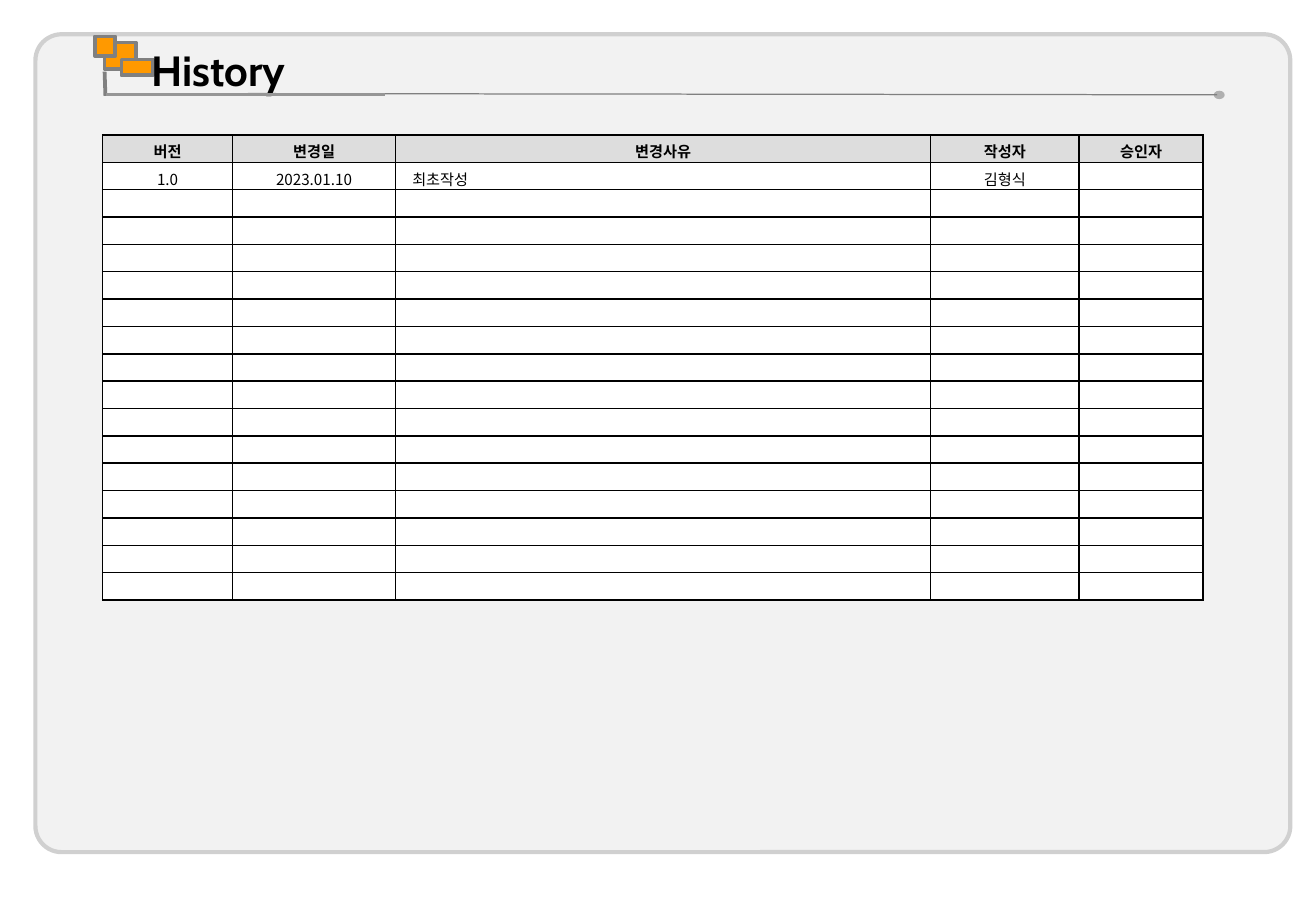
import pptx
import pptx.util
import pptx.dml.color
import pptx.enum.shapes
import pptx.enum.text
import pptx.oxml.ns
import lxml.etree

Pt = pptx.util.Pt
qn = pptx.oxml.ns.qn
SHAPE = pptx.enum.shapes.MSO_SHAPE
ALIGN = pptx.enum.text.PP_ALIGN
FONT = "Noto Sans CJK KR"
COLORS = {
    "panel": "F2F2F2", "edge": "D0D0D0", "dot": "B0B0B0",
    "orange": "FF9900", "gray": "808080", "rule": "969696",
    "head": "DDDDDD", "white": "FFFFFF", "black": "000000",
}
HEADS = ["버전", "변경일", "변경사유", "작성자", "승인자"]
ENTRY = ["1.0", "2023.01.10", "최초작성", "김형식", ""]
WIDTHS = [77, 96.6, 317.2, 88.1, 73.5]
ROWS = 17
HEIGHT = 16.22


def color(name):
    return pptx.dml.color.RGBColor.from_string(COLORS[name])


def add_box(slide, kind, box, fill, line=None, width=2.25):
    shape = slide.shapes.add_shape(kind, *map(Pt, box))
    shape.shadow.inherit = False
    shape.fill.solid()
    shape.fill.fore_color.rgb = color(fill)
    if line:
        shape.line.color.rgb = color(line)
        shape.line.width = Pt(width)
    else:
        shape.line.fill.background()
    return shape


def add_line(slide, ends, tone, width):
    kind = pptx.enum.shapes.MSO_CONNECTOR.STRAIGHT
    line = slide.shapes.add_connector(kind, *map(Pt, ends))
    line.line.color.rgb = color(tone)
    line.line.width = Pt(width)
    lxml.etree.SubElement(line._element.spPr, qn("a:effectLst"))


def set_font(para, name, size, bold):
    para.font.name = name
    para.font.size = Pt(size)
    para.font.bold = bold
    para.font.color.rgb = color("black")
    lxml.etree.SubElement(para.font._element, qn("a:ea"), typeface=name)


def add_title(slide, text, box):
    frame = slide.shapes.add_textbox(*map(Pt, box)).text_frame
    frame.word_wrap = True
    para = frame.paragraphs[0]
    para.text = text
    set_font(para, "Cabin", 25, True)


def add_border(cell):
    props = cell._tc.get_or_add_tcPr()
    for side in ("lnL", "lnR", "lnT", "lnB"):
        line = lxml.etree.SubElement(props, qn(f"a:{side}"), w=str(Pt(1)))
        fill = lxml.etree.SubElement(line, qn("a:solidFill"))
        lxml.etree.SubElement(fill, qn("a:srgbClr"), val=COLORS["black"])


def fill_cell(cell, text, head, align):
    add_border(cell)
    cell.fill.solid()
    cell.fill.fore_color.rgb = color("head" if head else "white")
    cell.margin_left = cell.margin_right = Pt(10)
    cell.margin_top, cell.margin_bottom = Pt(2.9), Pt(0)
    cell.vertical_anchor = pptx.enum.text.MSO_ANCHOR.MIDDLE
    para = cell.text_frame.paragraphs[0]
    if text:
        para.text = text
        para.alignment = align
        set_font(para, FONT, 9, head)
    else:
        lxml.etree.SubElement(para._p, qn("a:endParaRPr"), sz="900")


def add_grid(slide, left, top):
    frame = slide.shapes.add_table(
        ROWS, len(WIDTHS), Pt(left), Pt(top), Pt(sum(WIDTHS)), Pt(ROWS * HEIGHT))
    table = frame.table
    for column, width in zip(table.columns, WIDTHS):
        column.width = Pt(width)
    for row in table.rows:
        row.height = Pt(HEIGHT)
    blank = [""] * len(WIDTHS)
    lines = [HEADS, ENTRY] + [blank] * (ROWS - 2)
    for r, texts in enumerate(lines):
        for c, text in enumerate(texts):
            align = ALIGN.LEFT if r and c == 2 else ALIGN.CENTER
            fill_cell(table.cell(r, c), text, r == 0, align)


def main():
    deck = pptx.Presentation()
    deck.slide_width, deck.slide_height = Pt(780), Pt(540)
    slide = deck.slides.add_slide(deck.slide_layouts[6])
    panel = add_box(slide, SHAPE.ROUNDED_RECTANGLE, (21, 20.3, 743.8, 484.8),
                    "panel", "edge", 2.5)
    panel.adjustments[0] = 0.032
    add_box(slide, SHAPE.OVAL, (719.4, 53.8, 6.5, 5), "dot")
    for box in ((62, 25.2, 18.7, 15.8), (72, 35.3, 18.7, 9.4),
                (56.2, 21.6, 12.2, 11.5)):
        add_box(slide, SHAPE.RECTANGLE, box, "orange", "gray")
    add_line(slide, (62, 42.5, 62.5, 56.8), "gray", 2.25)
    add_line(slide, (146.9, 55.5, 721.4, 56.2), "gray", 0.75)
    add_title(slide, "History", (82.8, 23, 162.7, 37.4))
    add_line(slide, (62.6, 56, 228.2, 56), "rule", 2.25)
    add_grid(slide, 60.8, 80)
    deck.save("out.pptx")


if __name__ == "__main__":
    main()
